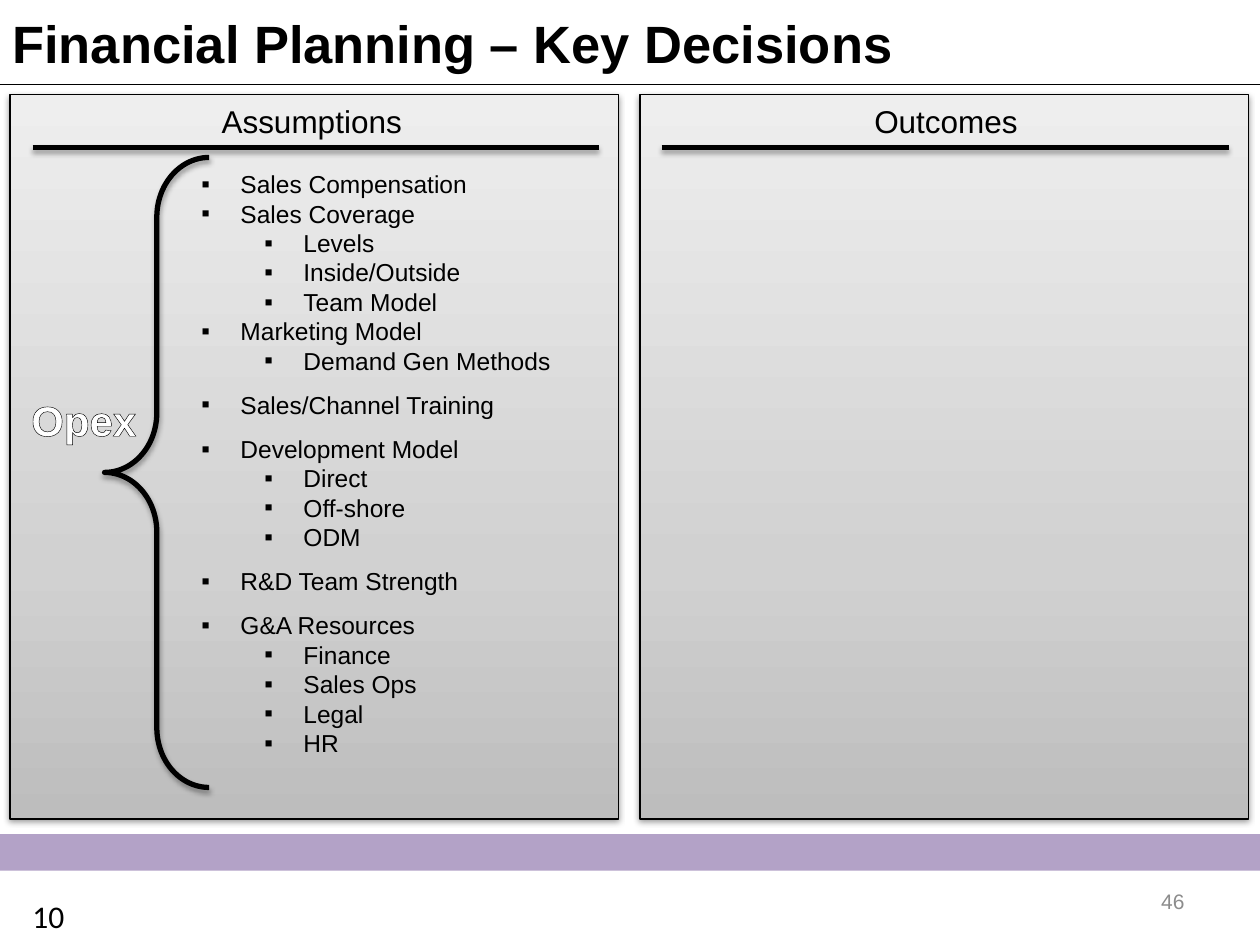
import copy

import lxml.etree
import pptx
import pptx.dml.color
import pptx.enum.shapes
import pptx.enum.text
import pptx.oxml.ns
import pptx.util

Inches = pptx.util.Inches
Pt = pptx.util.Pt
qn = pptx.oxml.ns.qn
color = pptx.dml.color.RGBColor.from_string
Shape = pptx.enum.shapes.MSO_SHAPE
Align = pptx.enum.text.PP_ALIGN
Anchor = pptx.enum.text.MSO_ANCHOR


def add_text(shapes, box, lines, size, hex_color="000000", font="Arial", bold=False,
             align=Align.LEFT, anchor=Anchor.TOP, wrap=True):
    shape = shapes.add_textbox(*[Inches(value) for value in box])
    frame = shape.text_frame
    frame.word_wrap = wrap
    frame.vertical_anchor = anchor
    for index, (level, spacing, text) in enumerate(lines):
        paragraph = frame.paragraphs[0] if index == 0 else frame.add_paragraph()
        paragraph.text = text
        paragraph.alignment = align
        if level is not None:
            paragraph.level = level
            paragraph.line_spacing = spacing
            properties = paragraph._p.get_or_add_pPr()
            properties.set("marL", str(Inches(0.31 + 0.5 * level)))
            properties.set("indent", str(Inches(-0.31)))
            lxml.etree.SubElement(properties, qn("a:buFont")).set("typeface", "Arial")
            lxml.etree.SubElement(properties, qn("a:buChar")).set("char", "▪")
        paragraph.font.name = font
        paragraph.font.size = Pt(size)
        paragraph.font.bold = bold
        paragraph.font.color.rgb = color(hex_color)
    return shape


def set_line(shape, width, shadow=None):
    shape.line.color.rgb = color("000000")
    shape.line.width = Pt(width)
    properties = shape._element.spPr
    for effects in properties.findall(qn("a:effectLst")):
        properties.remove(effects)
    effects = lxml.etree.SubElement(properties, qn("a:effectLst"))
    if shadow:
        distance, opacity = shadow
        outer = lxml.etree.SubElement(
            effects, qn("a:outerShdw"), blurRad=str(Pt(3.1)), dist=str(Pt(distance)),
            dir="5400000", rotWithShape="0")
        shade = lxml.etree.SubElement(outer, qn("a:srgbClr"), val="000000")
        lxml.etree.SubElement(shade, qn("a:alpha"), val=str(opacity * 1000))


presentation = pptx.Presentation()
presentation.slide_width = Inches(10)
presentation.slide_height = Inches(7.5)
slide = presentation.slides.add_slide(presentation.slide_layouts[6])
shapes = slide.shapes

add_text(shapes, (7.17, 6.95, 2.33, 0.4), [(None, None, "46")], 12, "8C8C8C",
         align=Align.RIGHT, anchor=Anchor.MIDDLE)
add_text(shapes, (0, 0, 10, 0.68), [(None, None, "Financial Planning – Key Decisions")], 30,
         bold=True, anchor=Anchor.MIDDLE)
straight = pptx.enum.shapes.MSO_CONNECTOR.STRAIGHT
title_rule = shapes.add_connector(straight, 0, Inches(0.67), Inches(10), Inches(0.67))
set_line(title_rule, 1)

panel_stops = [(0, "BDBDBD"), (0.35, "D1D1D1"), (1, "EEEEEE")]
for left in (0.08, 5.08):
    panel = shapes.add_shape(Shape.RECTANGLE, Inches(left), Inches(0.75), Inches(4.83), Inches(5.75))
    panel.fill.gradient()
    panel.fill.gradient_angle = 90
    stop_list = panel._element.spPr.find(".//" + qn("a:gsLst"))
    stop_list.append(copy.deepcopy(stop_list[0]))
    for stop, (position, hex_color) in zip(panel.fill.gradient_stops, panel_stops):
        stop.position = position
        stop.color.rgb = color(hex_color)
    set_line(panel, 0.75, (1.6, 38))

for heading, left, width in (("Assumptions", 1.66, 1.72), ("Outcomes", 6.84, 1.35)):
    add_text(shapes, (left, 0.76, width, 0.4), [(None, None, heading)], 18, wrap=False)

assumptions = [
    (0, 2.0, "Sales Compensation"),
    (0, 1.0, "Sales Coverage"),
    (1, 1.0, "Levels"),
    (1, 1.0, "Inside/Outside"),
    (1, 1.0, "Team Model"),
    (0, 1.0, "Marketing Model"),
    (1, 1.0, "Demand Gen Methods"),
    (0, 1.5, "Sales/Channel Training"),
    (0, 1.5, "Development Model"),
    (1, 1.0, "Direct"),
    (1, 1.0, "Off-shore"),
    (1, 1.0, "ODM"),
    (0, 1.5, "R&D Team Strength"),
    (0, 1.5, "G&A Resources"),
    (1, 1.0, "Finance"),
    (1, 1.0, "Sales Ops"),
    (1, 1.0, "Legal"),
    (1, 1.0, "HR"),
]
add_text(shapes, (1.5, 1.06, 3.25, 5.05), assumptions, 14)

group = shapes.add_group_shape()
opex = add_text(group.shapes, (0.08, 3.08, 1.17, 0.5), [(None, None, "Opex")], 24, "FFFFFF",
                bold=True, align=Align.CENTER)
run = opex.text_frame.paragraphs[0].runs[0]
run.font.color.rgb = color("FFFFFF")
outline = lxml.etree.Element(qn("a:ln"), w=str(Pt(0.83)))
outline_fill = lxml.etree.SubElement(outline, qn("a:solidFill"))
lxml.etree.SubElement(outline_fill, qn("a:srgbClr"), val="000000")
run._r.get_or_add_rPr().insert(0, outline)

brace = group.shapes.add_shape(Shape.LEFT_BRACE, Inches(0.83), Inches(1.25), Inches(0.83), Inches(5))
brace.adjustments[0] = 0.57
brace.adjustments[1] = 0.5
brace.fill.background()
set_line(brace, 3, (1.8, 35))

for start, end in ((0.26, 4.75), (5.25, 9.75)):
    heading_rule = shapes.add_connector(straight, Inches(start), Inches(1.17), Inches(end), Inches(1.17))
    set_line(heading_rule, 3, (1.8, 35))

band = shapes.add_shape(Shape.RECTANGLE, 0, Inches(6.62), Inches(10), Inches(0.29))
band.shadow.inherit = False
band.fill.solid()
band.fill.fore_color.rgb = color("B3A2C7")
band.line.fill.background()

add_text(shapes, (0.16, 7.07, 0.46, 0.4), [(None, None, "10")], 18, font="Calibri", wrap=False)

presentation.save("out.pptx")
